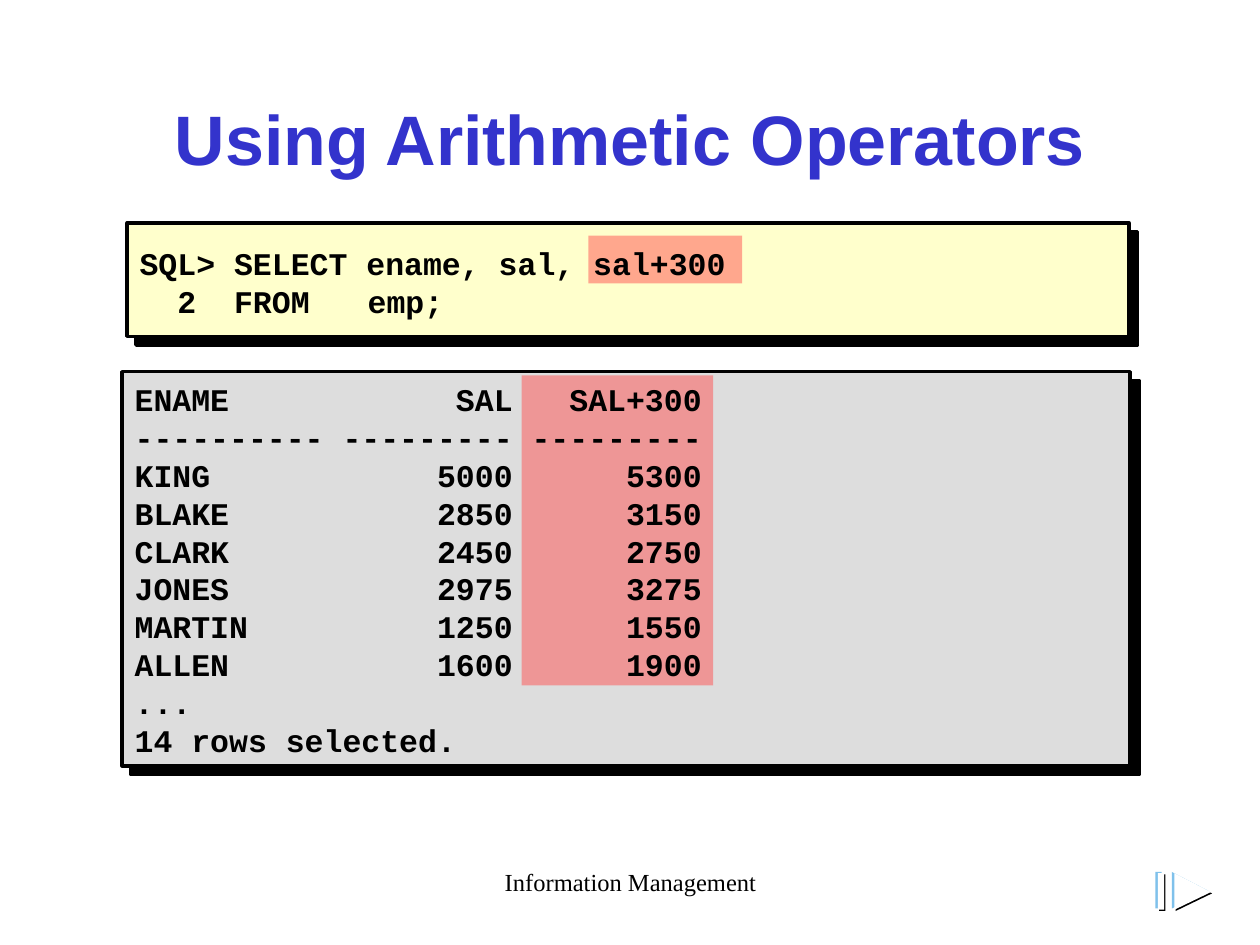
from lxml import etree
from pptx import Presentation
from pptx.dml.color import RGBColor
from pptx.enum.shapes import MSO_SHAPE
from pptx.enum.text import MSO_ANCHOR, PP_ALIGN
from pptx.oxml.ns import qn
from pptx.util import Inches, Pt

RECTANGLE = MSO_SHAPE.RECTANGLE
TOP, MIDDLE = MSO_ANCHOR.TOP, MSO_ANCHOR.MIDDLE
LEFT, CENTER = PP_ALIGN.LEFT, PP_ALIGN.CENTER
BLACK, BLUE, WHITE = "000000", "3333CC", "FFFFFF"
HIGHLIGHT = "FF5050"
QUERY = ["SQL> SELECT ename, sal, sal+300", "  2  FROM\temp;"]
RESULT = [
    "ENAME            SAL   SAL+300",
    "---------- --------- ---------",
    "KING            5000      5300",
    "BLAKE           2850      3150",
    "CLARK           2450      2750",
    "JONES           2975      3275",
    "MARTIN          1250      1550",
    "ALLEN           1600      1900",
    "...",
    "14 rows selected.",
]


def color(value):
    return RGBColor.from_string(value)


def shadow_effect(distance):
    effects = etree.Element(qn("a:effectLst"))
    shadow = etree.SubElement(effects, qn("a:outerShdw"), blurRad="0",
                              dist=str(Pt(distance)), dir="2700000",
                              algn="tl", rotWithShape="0")
    etree.SubElement(shadow, qn("a:srgbClr"), val=BLACK)
    return effects


def paint(shape, fill):
    shape.shadow.inherit = False
    shape.fill.solid()
    shape.fill.fore_color.rgb = color(fill)
    shape.line.fill.background()


def add_text(slide, box, lines, font, size, fill=BLACK, bold=False, align=LEFT,
             anchor=TOP, top_inset=0.05, line_height=None, tabs=()):
    text_box = slide.shapes.add_textbox(*map(Inches, box))
    frame = text_box.text_frame
    frame.word_wrap = True
    frame.vertical_anchor = anchor
    frame.margin_top = Inches(top_inset)
    for index, line in enumerate(lines):
        paragraph = frame.add_paragraph() if index else frame.paragraphs[0]
        paragraph.alignment = align
        if tabs:
            tab_list = etree.SubElement(paragraph._p.get_or_add_pPr(), qn("a:tabLst"))
            for position in tabs:
                etree.SubElement(tab_list, qn("a:tab"), pos=str(Inches(position)), algn="l")
        if line_height:
            paragraph.line_spacing = Pt(line_height)
        run = paragraph.add_run()
        run.text = line
        run.font.name = font
        run.font.size = Pt(size)
        run.font.bold = bold
        run.font.color.rgb = color(fill)
    return text_box


def add_title(slide, box):
    title = add_text(slide, box, ["Using Arithmetic Operators"], "Arial", 40, BLUE,
                     bold=True, align=CENTER, top_inset=0.09)
    properties = title.text_frame.paragraphs[0].runs[0].font._element
    properties.find(qn("a:solidFill")).addnext(shadow_effect(3))


def add_highlight(slide, box):
    highlight = slide.shapes.add_shape(RECTANGLE, *map(Inches, box))
    paint(highlight, HIGHLIGHT)
    fill_color = highlight._element.spPr.find(qn("a:solidFill"))[0]
    etree.SubElement(fill_color, qn("a:alpha"), val="50000")


def add_code_panel(slide, box, fill, highlight, lines, **text_options):
    left, top, width, height = box
    panel = slide.shapes.add_shape(RECTANGLE, *map(Inches, box))
    paint(panel, fill)
    panel.line.color.rgb = color(BLACK)
    panel.line.width = Pt(2)
    properties = panel._element.spPr
    properties.replace(properties.find(qn("a:effectLst")), shadow_effect(7.1))
    dx, dy, highlight_width, highlight_height = highlight
    add_highlight(slide, (left + dx, top + dy, highlight_width, highlight_height))
    add_text(slide, (left, top - 0.02, width + 0.02, height), lines, "Courier New", 18,
             bold=True, line_height=21.6, **text_options)


def add_next_button(slide, left, top):
    group = slide.shapes.add_group_shape()
    layers = [(0.03, 0.02, BLACK), (0, 0, "7FC1EB"), (0.02, 0.01, WHITE)]
    for dx, dy, fill in layers:
        bar = group.shapes.add_shape(RECTANGLE, Inches(left + dx), Inches(top + dy),
                                     Inches(0.05), Inches(0.29))
        paint(bar, fill)
    for dx, dy, fill in layers:
        x, y = left + 0.13 + dx, top + dy
        builder = group.shapes.build_freeform(Inches(x), Inches(y))
        builder.add_line_segments([(Inches(x + 0.29), Inches(y + 0.15)),
                                   (Inches(x), Inches(y + 0.29))], close=True)
        paint(builder.convert_to_shape(), fill)


def main():
    presentation = Presentation()
    presentation.slide_width = Inches(10)
    presentation.slide_height = Inches(7.5)
    slide = presentation.slides.add_slide(presentation.slide_layouts[6])
    slide.background.fill.solid()
    slide.background.fill.fore_color.rgb = color(WHITE)

    add_text(slide, (3.42, 6.83, 3.17, 0.5), ["Information Management"],
             "Times New Roman", 14, align=CENTER)
    add_title(slide, (0.75, 0.67, 8.5, 1.25))
    add_code_panel(slide, (1.01, 1.77, 7.95, 0.9), "FFFFCC", (3.66, 0.1, 1.22, 0.38),
                   QUERY, anchor=MIDDLE, top_inset=0.13, tabs=(1.31, 1.81))
    add_code_panel(slide, (0.97, 2.95, 8, 3.13), "DDDDDD", (3.17, 0.03, 1.52, 2.46),
                   RESULT, top_inset=0.09)
    add_next_button(slide, 9.17, 6.92)
    presentation.save("out.pptx")


if __name__ == "__main__":
    main()
